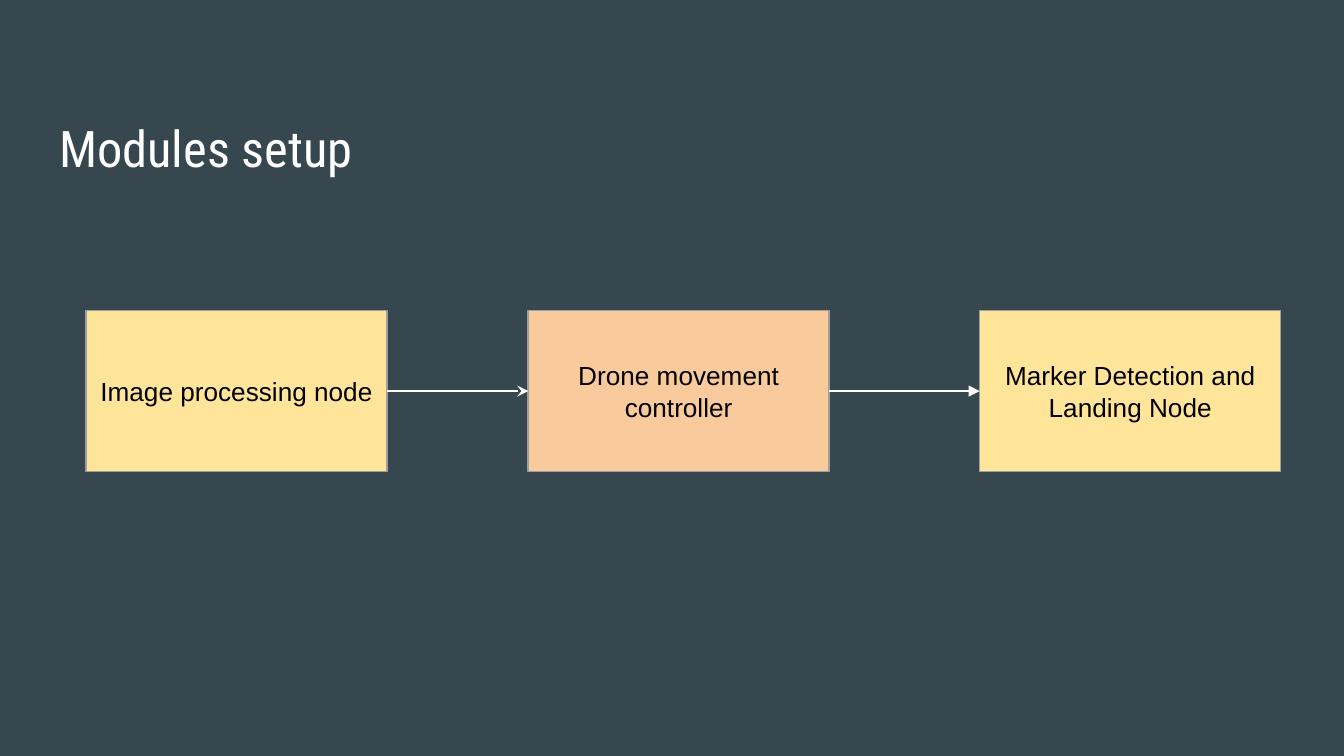
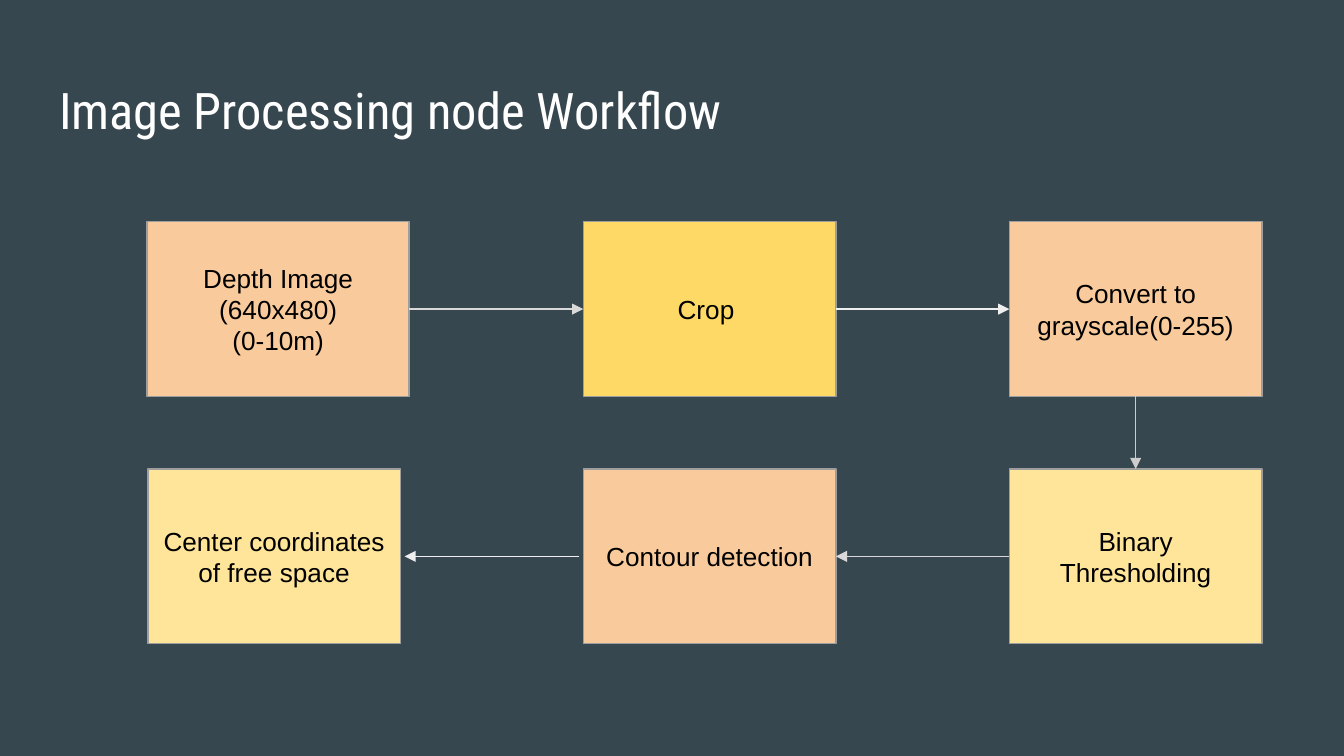
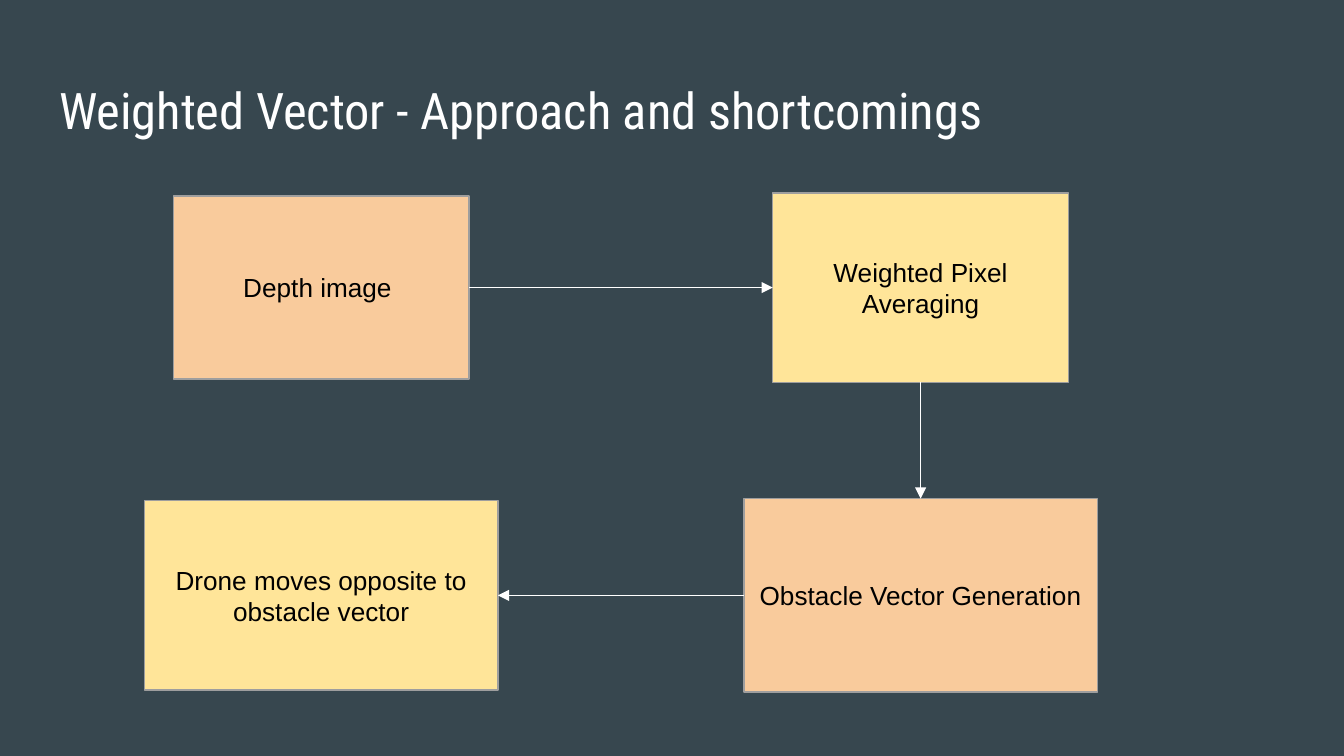
"""Build three flowchart slides about a drone's navigation modules."""
from dataclasses import dataclass
from enum import IntEnum

from lxml import etree
from pptx import Presentation
from pptx.dml.color import RGBColor
from pptx.enum import shapes, text
from pptx.oxml.ns import qn
from pptx.util import Inches, Pt

SLIDE_WIDTH = Inches(10)
SLIDE_HEIGHT = SLIDE_WIDTH * 9 // 16
BACKGROUND = "37474F"
OUTLINE = "9E9E9E"
WHITE = "FFFFFF"
BLACK = "000000"
PEACH = "F9CB9C"
CREAM = "FFE599"
GOLD = "FFD966"
SILVER = "D9D9D9"
PALE = "EFEFEF"
GREY = "CCCCCC"
TITLE_FONT = "Roboto Condensed"
BODY_FONT = "Arial"
INSET = Inches(0.1)
LINE_WIDTH = Pt(0.75)


class Side(IntEnum):
    TOP = 0
    LEFT = 1
    BOTTOM = 2
    RIGHT = 3


RIGHTWARD = (Side.RIGHT, Side.LEFT)
LEFTWARD = (Side.LEFT, Side.RIGHT)
DOWNWARD = (Side.BOTTOM, Side.TOP)


@dataclass(frozen=True)
class Step:
    label: str
    center_x: float
    center_y: float
    width: float
    height: float
    fill: str


@dataclass(frozen=True)
class Arrow:
    source: int
    target: int
    sides: tuple = RIGHTWARD
    color: str = WHITE
    head: str = "triangle"
    gap: float = 0


@dataclass(frozen=True)
class Flowchart:
    title: str
    title_top: float
    steps: list
    arrows: list


MODULE_Y, MODULE_SIZE = 2.91, (2.24, 1.2)
LEFT_X, MIDDLE_X, RIGHT_X = 2.04, 5.28, 8.45
UPPER_Y, LOWER_Y, NODE_SIZE = 2.3, 4.14, (1.88, 1.3)
VECTOR_LEFT_X, VECTOR_RIGHT_X = 2.39, 6.85
VECTOR_UPPER_Y, VECTOR_LOWER_Y = 2.14, 4.43

FLOWCHARTS = [
    Flowchart(
        "Modules setup",
        0.77,
        [
            Step("Image processing node", 1.76, MODULE_Y, *MODULE_SIZE, CREAM),
            Step("Drone movement controller", 5.05, MODULE_Y, *MODULE_SIZE, PEACH),
            Step("Marker Detection and Landing Node", 8.41, MODULE_Y, *MODULE_SIZE, CREAM),
        ],
        [Arrow(0, 1, head="stealth"), Arrow(1, 2)],
    ),
    Flowchart(
        "Image Processing node Workflow",
        0.49,
        [
            Step("Depth Image\n(640x480)\n(0-10m)", 2.07, UPPER_Y, 1.95, 1.3, PEACH),
            Step("Crop ", MIDDLE_X, UPPER_Y, *NODE_SIZE, GOLD),
            Step("Convert to grayscale(0-255)", RIGHT_X, UPPER_Y, *NODE_SIZE, PEACH),
            Step("Binary Thresholding", RIGHT_X, LOWER_Y, *NODE_SIZE, CREAM),
            Step("Contour detection", MIDDLE_X, LOWER_Y, *NODE_SIZE, PEACH),
            Step("Center coordinates of free space", LEFT_X, LOWER_Y, *NODE_SIZE, CREAM),
        ],
        [
            Arrow(0, 1, color=SILVER),
            Arrow(1, 2, color=PALE),
            Arrow(2, 3, DOWNWARD, GREY),
            Arrow(3, 4, LEFTWARD, SILVER),
            Arrow(4, 5, LEFTWARD, PALE, gap=0.03),
        ],
    ),
    Flowchart(
        "Weighted Vector - Approach and shortcomings",
        0.49,
        [
            Step("Depth image ", VECTOR_LEFT_X, VECTOR_UPPER_Y, 2.2, 1.36, PEACH),
            Step("Weighted Pixel Averaging", VECTOR_RIGHT_X, VECTOR_UPPER_Y, 2.2, 1.41, CREAM),
            Step("Obstacle Vector Generation", VECTOR_RIGHT_X, VECTOR_LOWER_Y, 2.63, 1.44, PEACH),
            Step("Drone moves opposite to obstacle vector", VECTOR_LEFT_X, VECTOR_LOWER_Y, 2.63, 1.41, CREAM),
        ],
        [Arrow(0, 1), Arrow(1, 2, DOWNWARD), Arrow(2, 3, LEFTWARD)],
    ),
]


def set_color(color_format, hex_color: str) -> None:
    color_format.rgb = RGBColor.from_string(hex_color)


def set_fill(fill, hex_color: str) -> None:
    fill.solid()
    set_color(fill.fore_color, hex_color)


def set_line(line, hex_color: str) -> None:
    line.width = LINE_WIDTH
    set_fill(line.fill, hex_color)


def write_text(shape, content: str, font_name: str, size: float, color: str, alignment, anchor) -> None:
    frame = shape.text_frame
    frame.text = content
    frame.word_wrap = True
    frame.auto_size = text.MSO_AUTO_SIZE.NONE
    frame.vertical_anchor = anchor
    frame.margin_left = frame.margin_right = INSET
    frame.margin_top = frame.margin_bottom = INSET
    for paragraph in frame.paragraphs:
        paragraph.alignment = alignment
        for run in paragraph.runs:
            run.font.name = font_name
            run.font.size = Pt(size)
            set_color(run.font.color, color)


def add_title(slide, title: str, top: float) -> None:
    shape = slide.shapes.title
    shape.left, shape.top = Inches(0.34), Inches(top)
    shape.width, shape.height = Inches(9.32), Inches(0.63)
    write_text(shape, title, TITLE_FONT, 27, WHITE, text.PP_ALIGN.LEFT, text.MSO_ANCHOR.TOP)


def add_step(slide, step: Step):
    shape = slide.shapes.add_shape(
        shapes.MSO_SHAPE.RECTANGLE,
        Inches(step.center_x - step.width / 2),
        Inches(step.center_y - step.height / 2),
        Inches(step.width),
        Inches(step.height),
    )
    shape.shadow.inherit = False
    set_fill(shape.fill, step.fill)
    set_line(shape.line, OUTLINE)
    write_text(shape, step.label, BODY_FONT, 14, BLACK, text.PP_ALIGN.CENTER, text.MSO_ANCHOR.MIDDLE)
    return shape


def side_point(step: Step, side: Side, gap: float) -> tuple:
    across, down = {
        Side.TOP: (0, -1),
        Side.LEFT: (-1, 0),
        Side.BOTTOM: (0, 1),
        Side.RIGHT: (1, 0),
    }[side]
    return (
        Inches(step.center_x + across * (step.width / 2 + gap)),
        Inches(step.center_y + down * (step.height / 2 + gap)),
    )


def add_arrow(slide, arrow: Arrow, steps: list, boxes: list) -> None:
    start_side, end_side = arrow.sides
    connector = slide.shapes.add_connector(
        shapes.MSO_CONNECTOR.STRAIGHT,
        *side_point(steps[arrow.source], start_side, arrow.gap),
        *side_point(steps[arrow.target], end_side, arrow.gap),
    )
    if not arrow.gap:
        connector.begin_connect(boxes[arrow.source], int(start_side))
        connector.end_connect(boxes[arrow.target], int(end_side))
    set_line(connector.line, arrow.color)
    properties = connector._element.spPr
    etree.SubElement(properties.find(qn("a:ln")), qn("a:tailEnd"), type=arrow.head)
    etree.SubElement(properties, qn("a:effectLst"))


def add_flowchart(presentation, flowchart: Flowchart) -> None:
    slide = presentation.slides.add_slide(presentation.slide_layouts[5])
    add_title(slide, flowchart.title, flowchart.title_top)
    boxes = [add_step(slide, step) for step in flowchart.steps]
    for arrow in flowchart.arrows:
        add_arrow(slide, arrow, flowchart.steps, boxes)


def main() -> None:
    presentation = Presentation()
    presentation.slide_width, presentation.slide_height = SLIDE_WIDTH, SLIDE_HEIGHT
    set_fill(presentation.slide_master.background.fill, BACKGROUND)
    for flowchart in FLOWCHARTS:
        add_flowchart(presentation, flowchart)
    presentation.save("out.pptx")


if __name__ == "__main__":
    main()
